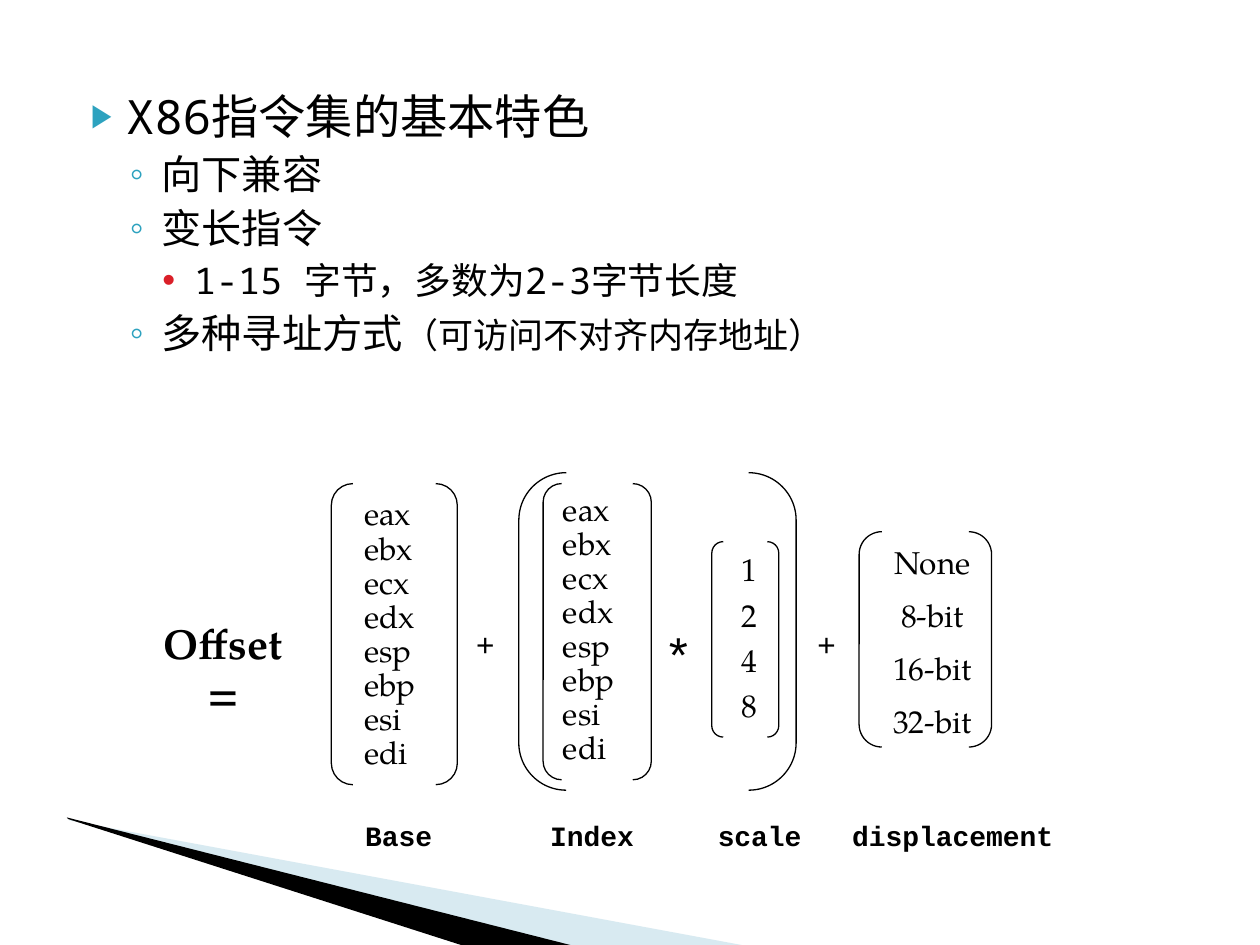
"""Build a slide on x86 instruction set features and the offset formula."""
from dataclasses import dataclass

import lxml.etree
import pptx
import pptx.dml.color
import pptx.enum.shapes
import pptx.enum.text
import pptx.oxml.ns
import pptx.util

Cm = pptx.util.Cm
Pt = pptx.util.Pt
qn = pptx.oxml.ns.qn
Align = pptx.enum.text.PP_ALIGN
AutoSize = pptx.enum.text.MSO_AUTO_SIZE


@dataclass(frozen=True)
class Level:
    mark: str
    colour: str
    scale: int
    margin: float
    hang: float
    before: float
    size: int


@dataclass(frozen=True)
class Theme:
    ink: str = "000000"
    wedge: str = "9FCBDC"
    wedge_alpha: int = 40
    body_font: str = "Noto Sans Mono"
    serif: str = "TeX Gyre Pagella"
    sans: str = "Arial"
    mono: str = "Courier New"
    aside_size: int = 20
    term_size: int = 18
    times_size: int = 28
    result_size: int = 24
    caption_size: int = 16
    stroke: float = 0.75
    bracket_curve: float = 0.171
    levels: tuple = (
        Level("▶", "2DA2BF", 68, 1.02, 0.71, 4, 27),
        Level("◦", "2DA2BF", 100, 1.73, 0.64, 3.3, 23),
        Level("•", "DA1F28", 100, 2.39, 0.64, 3.5, 21),
    )


def rgb(colour):
    return pptx.dml.color.RGBColor.from_string(colour)


class SlideBuilder:
    def __init__(self, slide, theme):
        self.slide = slide
        self.theme = theme

    def set_font(self, font, name, size, bold=False):
        font.name, font.size, font.bold = name, Pt(size), bold
        font.color.rgb = rgb(self.theme.ink)

    def wedge(self, corners, colour, alpha=100):
        start, *rest = [(Cm(x), Cm(y)) for x, y in corners]
        builder = self.slide.shapes.build_freeform(*start)
        builder.add_line_segments(rest, close=True)
        wedge = builder.convert_to_shape()
        wedge.shadow.inherit = False
        wedge.fill.solid()
        wedge.fill.fore_color.rgb = rgb(colour)
        wedge.line.fill.background()
        if alpha < 100:
            tint = wedge._element.spPr.find(qn("a:solidFill")).find(qn("a:srgbClr"))
            lxml.etree.SubElement(tint, qn("a:alpha"), val=str(alpha * 1000))

    def bullet(self, paragraph, level):
        props = paragraph._p.get_or_add_pPr()
        props.set("marL", str(Cm(level.margin)))
        props.set("indent", str(-Cm(level.hang)))
        colour = lxml.etree.SubElement(props, qn("a:buClr"))
        lxml.etree.SubElement(colour, qn("a:srgbClr"), val=level.colour)
        lxml.etree.SubElement(props, qn("a:buSzPct"), val=str(level.scale * 1000))
        lxml.etree.SubElement(props, qn("a:buChar"), char=level.mark)

    def outline(self, place, points):
        body = self.slide.placeholders[1]
        self.slide.shapes._spTree.append(body._element)
        body.left, body.top, body.width, body.height = map(Cm, place)
        frame = body.text_frame
        frame.auto_size = AutoSize.NONE
        for index, (depth, text, aside) in enumerate(points):
            paragraph = frame.add_paragraph() if index else frame.paragraphs[0]
            level = self.theme.levels[depth]
            paragraph.level = depth
            self.bullet(paragraph, level)
            paragraph.space_before = Pt(level.before)
            self.set_font(paragraph.font, self.theme.body_font, level.size)
            paragraph.add_run().text = text
            if aside:
                note = paragraph.add_run()
                note.text = aside
                note.font.size = Pt(self.theme.aside_size)

    def text(self, place, content, font, size, align=Align.LEFT, spacing=None,
             bold=False, wrap=False, tabs=()):
        frame = self.slide.shapes.add_textbox(*map(Cm, place)).text_frame
        frame.word_wrap = wrap
        frame.auto_size = AutoSize.SHAPE_TO_FIT_TEXT
        frame.text = content
        for paragraph in frame.paragraphs:
            paragraph.alignment = align
            paragraph.line_spacing = spacing
            if tabs:
                stops = lxml.etree.SubElement(
                    paragraph._p.get_or_add_pPr(), qn("a:tabLst"))
                for stop in tabs:
                    lxml.etree.SubElement(
                        stops, qn("a:tab"), pos=str(Cm(stop)), algn="l")
            self.set_font(paragraph.font, font, size, bold)

    def brackets(self, place):
        pair = self.slide.shapes.add_shape(
            pptx.enum.shapes.MSO_SHAPE.DOUBLE_BRACKET, *map(Cm, place))
        pair.adjustments[0] = self.theme.bracket_curve
        pair.shadow.inherit = False
        pair.fill.background()
        pair.line.color.rgb = rgb(self.theme.ink)
        pair.line.width = Pt(self.theme.stroke)


def main():
    theme = Theme()
    deck = pptx.Presentation()
    deck.slide_width, deck.slide_height = Cm(25.4), Cm(19.05)
    slide = deck.slides.add_slide(deck.slide_layouts[1])
    heading = slide.shapes.title._element
    heading.getparent().remove(heading)
    page = SlideBuilder(slide, theme)

    page.wedge([(1.4, 16.54), (15.11, 19.08), (11.58, 19.08), (1.4, 16.51)],
               theme.wedge, theme.wedge_alpha)
    page.wedge([(1.35, 16.48), (11.61, 19.08), (9.45, 19.1), (1.37, 16.51)],
               theme.ink)

    page.outline((1.27, 1.63, 22.86, 16.1), [
        (0, "X86指令集的基本特色", ""),
        (1, "向下兼容", ""),
        (1, "变长指令", ""),
        (2, "1-15 字节，多数为2-3字节长度", ""),
        (1, "多种寻址方式", "（可访问不对齐内存地址）"),
    ])

    registers = "\v".join("eax ebx ecx edx esp ebp esi edi".split())
    for left, top in ((7.09, 9.93), (11.1, 9.83)):
        page.text((left, top, 1.55, 5.74), registers, theme.serif,
                  theme.term_size, spacing=0.9)
    page.text((14.48, 10.82, 1.24, 3.91), "1\n2\n4\n8", theme.serif,
              theme.term_size, Align.CENTER, 1.2, wrap=True)
    page.text((17.6, 10.52, 2.4, 4.52), "None\n8-bit\n16-bit\n32-bit",
              theme.serif, theme.term_size, Align.CENTER, 1.4)

    base = (6.68, 9.75, 2.54, 6.07)
    scaled_index = (10.46, 9.53, 5.59, 6.4)
    index = (10.95, 9.75, 2.18, 5.97)
    scale = (14.35, 10.92, 1.35, 3.94)
    displacement = (17.32, 10.72, 2.67, 4.34)
    for place in (base, scaled_index, index, scale, displacement):
        page.brackets(place)

    for left in (9.35, 16.23):
        page.text((left, 12.47, 0.86, 1.02), "+", theme.sans,
                  theme.term_size, Align.CENTER)
    page.text((13.23, 12.45, 0.89, 1.45), "*", theme.sans,
              theme.times_size, Align.CENTER)
    page.text((2.69, 12.32, 3.61, 1.27), "Offset =", theme.serif,
              theme.result_size, Align.CENTER, bold=True, wrap=True)
    page.text((7.11, 16.38, 16, 0.94), "Base\tIndex\tscale\tdisplacement",
              theme.mono, theme.caption_size, bold=True, wrap=True,
              tabs=(3.73, 7.11, 9.82))
    deck.save("out.pptx")


if __name__ == "__main__":
    main()
